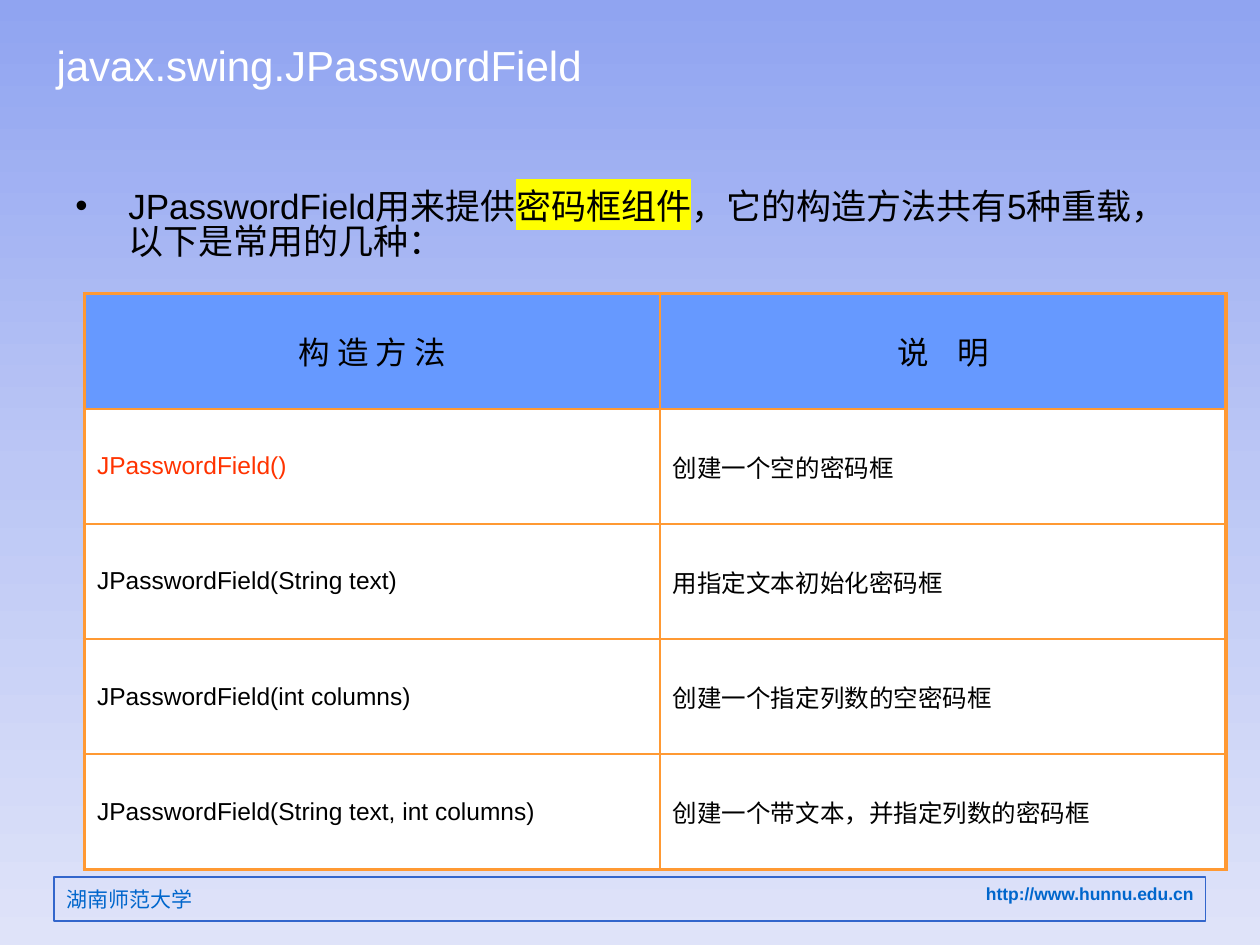
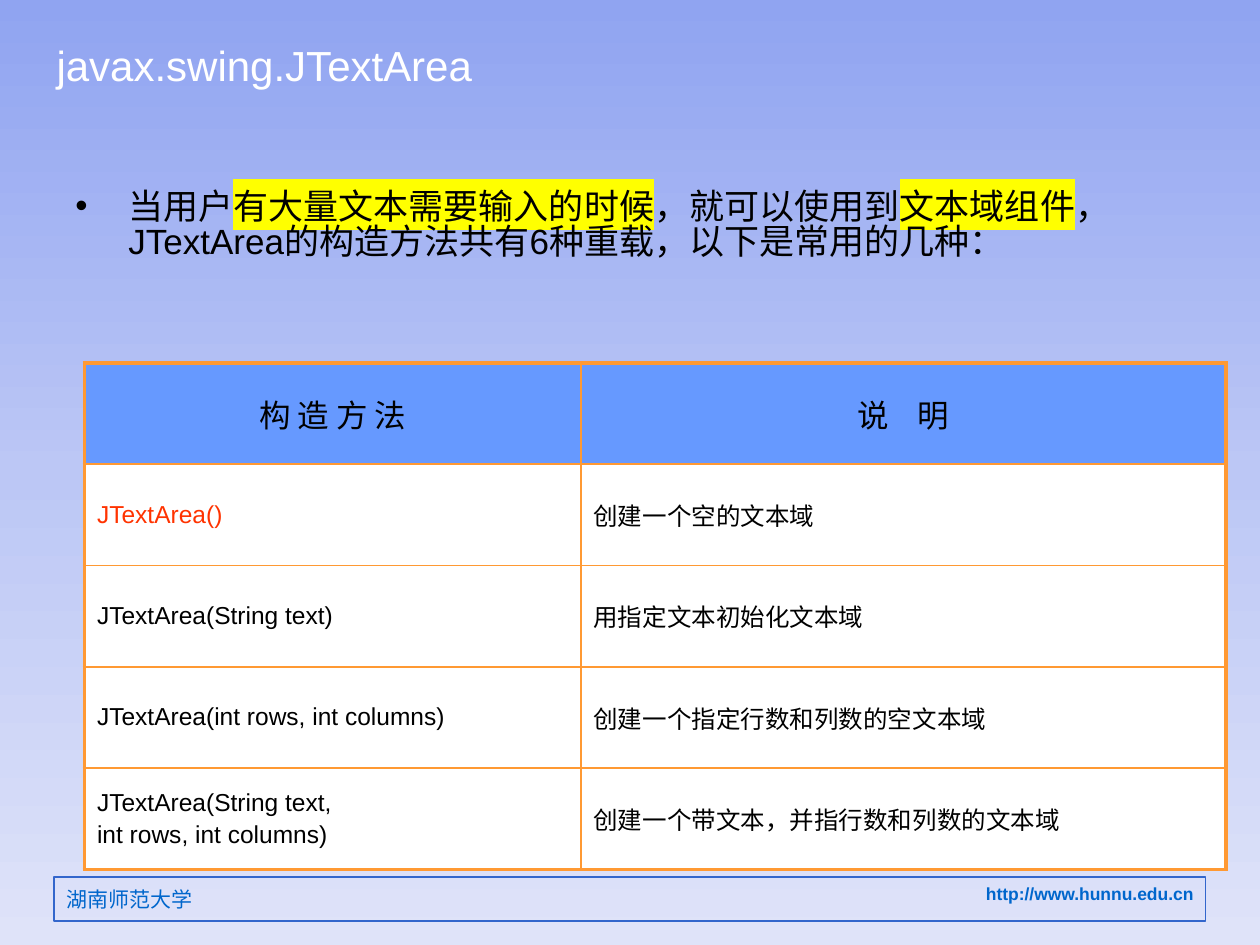
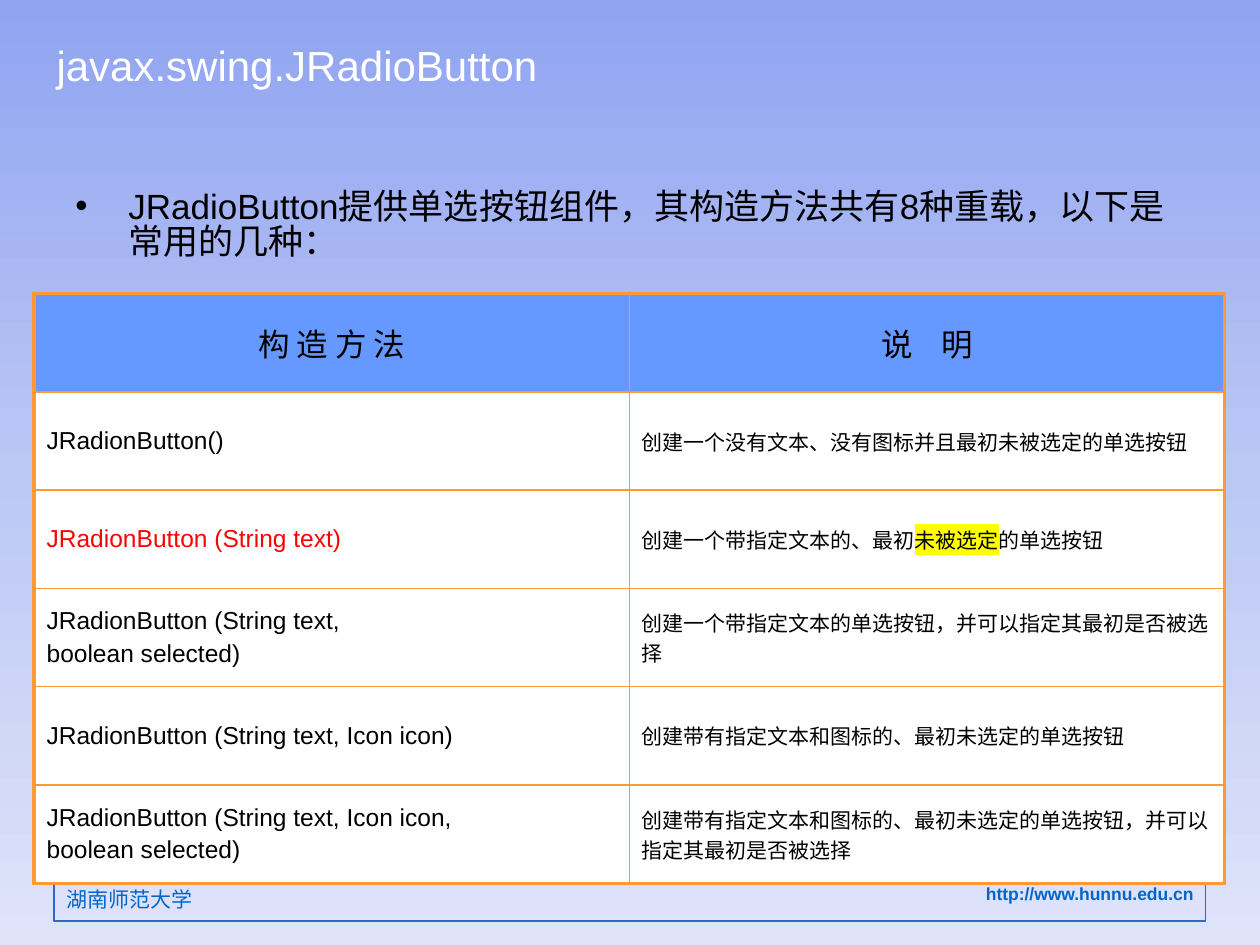
from dataclasses import dataclass

from lxml import etree
from pptx import Presentation
from pptx.dml.color import RGBColor
from pptx.enum.shapes import MSO_SHAPE
from pptx.enum.text import MSO_ANCHOR, PP_ALIGN
from pptx.oxml.ns import qn
from pptx.util import Emu, Inches, Pt

RECT = MSO_SHAPE.RECTANGLE
TOP, MIDDLE = MSO_ANCHOR.TOP, MSO_ANCHOR.MIDDLE
LEFT, CENTER, RIGHT = PP_ALIGN.LEFT, PP_ALIGN.CENTER, PP_ALIGN.RIGHT
WIDTH, HEIGHT = Inches(10), Inches(7.5)


@dataclass(frozen=True)
class Theme:
    gradient: tuple = ((0, "90A4F1"), (50, "BCC7F5"), (100, "DFE3F9"))
    white: str = "FFFFFF"
    black: str = "000000"
    link: str = "0066CC"
    frame: str = "3366CC"
    header: str = "6699FF"
    border: str = "FF9933"
    mark: str = "FFFF00"
    orange_red: str = "FF3300"
    red: str = "FF0000"
    latin: str = "Arial"
    mono: str = "Courier New"
    cjk: str = "Noto Sans CJK SC"
    title: int = 24
    body: int = 20
    head: int = 18
    cell: int = 14
    small: int = 12
    url: int = 10
    thick: float = 2.25
    thin: float = 1


T = Theme()


def across(share):
    return Emu(round(WIDTH * share / 100))


def down(share):
    return Emu(round(HEIGHT * share / 100))


def place(left, top, width, height):
    return across(left), down(top), across(width), down(height)


def add_run(p, text, size, color=T.black, font=T.latin, bold=False, mark=False, gap=0):
    r = p.add_run()
    r.text = text
    r.font.size = Pt(size)
    r.font.bold = bold
    r.font.color.rgb = RGBColor.from_string(color)
    r.font.name = font
    rPr = r.font._element
    latin = rPr.find(qn("a:latin"))
    ea = etree.Element(qn("a:ea"), typeface=T.cjk)
    latin.addnext(ea)
    if mark:
        highlight = etree.Element(qn("a:highlight"))
        etree.SubElement(highlight, qn("a:srgbClr"), val=T.mark)
        latin.addprevious(highlight)
    if gap:
        rPr.set("spc", str(gap * 100))


def write(tf, text, size, align=LEFT, **style):
    for i, line in enumerate(text.split("\n")):
        p = tf.add_paragraph() if i else tf.paragraphs[0]
        p.alignment = align
        if i:
            p.space_before = Pt(size * 0.2)
        for j, part in enumerate(line.split("|")):
            add_run(p, part, size, mark=j % 2 == 1, **style)


def add_text(s, box, text, size, anchor=TOP, **style):
    tf = s.shapes.add_textbox(*place(*box)).text_frame
    tf.word_wrap = True
    tf.vertical_anchor = anchor
    write(tf, text, size, **style)
    return tf


def set_background(master):
    fill = master.background.fill
    fill.gradient()
    fill.gradient_angle = 270
    stops = master.element.find(".//" + qn("a:gsLst"))
    stops.clear()
    for pos, color in T.gradient:
        gs = etree.SubElement(stops, qn("a:gs"), pos=str(pos * 1000))
        etree.SubElement(gs, qn("a:srgbClr"), val=color)


def add_footer(s):
    sp = s.shapes.add_shape(RECT, *place(4.3, 92.8, 91.4, 4.67))
    sp.shadow.inherit = False
    sp.fill.background()
    sp.line.color.rgb = RGBColor.from_string(T.frame)
    sp.line.width = Pt(0.75)
    sp.text_frame.vertical_anchor = TOP
    write(sp.text_frame, "http://www.hunnu.edu.cn", T.url, RIGHT, color=T.link, bold=True)
    add_text(s, (4.3, 93.2, 39.4, 4), "湖南师范大学", T.small, color=T.link, font=T.cjk)


def add_bullet(s, text):
    tf = add_text(s, (5, 19.6, 90, 69.73), text, T.body)
    p = tf.paragraphs[0]
    p.line_spacing = 0.84
    pPr = p._p.get_or_add_pPr()
    indent = Inches(0.42)
    pPr.set("marL", str(indent))
    pPr.set("indent", str(-indent))
    etree.SubElement(pPr, qn("a:buFont"), typeface=T.latin)
    etree.SubElement(pPr, qn("a:buChar"), char="•")


def set_borders(cell, outer):
    tcPr = cell._tc.get_or_add_tcPr()
    for i, side in enumerate(("lnL", "lnR", "lnT", "lnB")):
        width = T.thick if outer[i] else T.thin
        ln = etree.Element(qn("a:" + side), w=str(Pt(width)))
        fill = etree.SubElement(ln, qn("a:solidFill"))
        etree.SubElement(fill, qn("a:srgbClr"), val=T.border)
        tcPr.insert(i, ln)


def write_header(method, note):
    style = {"size": T.head, "font": T.mono}
    write(method.text_frame, "构 造 方 法", align=CENTER, **style)
    p = note.text_frame.paragraphs[0]
    p.alignment = CENTER
    for text, gap in (("说", 0), (" ", 12), ("明", 0)):
        add_run(p, text, gap=gap, **style)


def add_methods(s, box, first_width, rows, accent_row, accent, note_size):
    count = len(rows) + 1
    table = s.shapes.add_table(count, 2, *place(*box)).table
    table.first_row = table.horz_banding = False
    for col, width in zip(table.columns, (first_width, box[2] - first_width)):
        col.width = across(width)
    for i, row in enumerate(table.rows):
        row.height = down(box[3] / count)
        for j, cell in enumerate(row.cells):
            cell.vertical_anchor = MIDDLE
            cell.fill.solid()
            cell.fill.fore_color.rgb = RGBColor.from_string(T.white if i else T.header)
            set_borders(cell, (j == 0, j == 1, i == 0, i == count - 1))
    write_header(table.cell(0, 0), table.cell(0, 1))
    for i, (method, note) in enumerate(rows, 1):
        color = accent if i == accent_row else T.black
        write(table.cell(i, 0).text_frame, method, T.cell, color=color)
        write(table.cell(i, 1).text_frame, note, note_size)


def add_slide(prs, title, intro, **methods):
    s = prs.slides.add_slide(prs.slide_layouts[6])
    add_footer(s)
    add_text(s, (3.5, 2.8, 55.2, 8.13), title, T.title, MIDDLE, color=T.white)
    add_bullet(s, intro)
    add_methods(s, **methods)


def main():
    prs = Presentation()
    prs.slide_width, prs.slide_height = WIDTH, HEIGHT
    set_background(prs.slide_master)
    add_slide(
        prs,
        "javax.swing.JPasswordField",
        "JPasswordField用来提供|密码框组件|，它的构造方法共有5种重载，以下是常用的几种：",
        box=(6.7, 31.07, 90.6, 60.93),
        first_width=45.7,
        rows=[
            ("JPasswordField()", "创建一个空的密码框"),
            ("JPasswordField(String text)", "用指定文本初始化密码框"),
            ("JPasswordField(int columns)", "创建一个指定列数的空密码框"),
            ("JPasswordField(String text, int columns)", "创建一个带文本，并指定列数的密码框"),
        ],
        accent_row=1,
        accent=T.orange_red,
        note_size=T.cell,
    )
    add_slide(
        prs,
        "javax.swing.JTextArea",
        "当用户|有大量文本需要输入的时候|，就可以使用到|文本域组件|，"
        "JTextArea的构造方法共有6种重载，以下是常用的几种：",
        box=(6.7, 38.4, 90.6, 53.6),
        first_width=39.4,
        rows=[
            ("JTextArea()", "创建一个空的文本域"),
            ("JTextArea(String text)", "用指定文本初始化文本域"),
            ("JTextArea(int rows, int columns)", "创建一个指定行数和列数的空文本域"),
            ("JTextArea(String text,\nint rows, int columns)", "创建一个带文本，并指行数和列数的文本域"),
        ],
        accent_row=1,
        accent=T.orange_red,
        note_size=T.cell,
    )
    add_slide(
        prs,
        "javax.swing.JRadioButton",
        "JRadioButton提供单选按钮组件，其构造方法共有8种重载，以下是常用的几种：",
        box=(2.7, 31.07, 94.5, 62.4),
        first_width=47.25,
        rows=[
            ("JRadionButton()", "创建一个没有文本、没有图标并且最初未被选定的单选按钮"),
            ("JRadionButton (String text)", "创建一个带指定文本的、最初|未被选定|的单选按钮"),
            ("JRadionButton (String text,\nboolean selected)",
             "创建一个带指定文本的单选按钮，并可以指定其最初是否被选择"),
            ("JRadionButton (String text, Icon icon)", "创建带有指定文本和图标的、最初未选定的单选按钮"),
            ("JRadionButton (String text, Icon icon,\nboolean selected)",
             "创建带有指定文本和图标的、最初未选定的单选按钮，并可以指定其最初是否被选择"),
        ],
        accent_row=2,
        accent=T.red,
        note_size=T.small,
    )
    prs.save("out.pptx")


if __name__ == "__main__":
    main()
